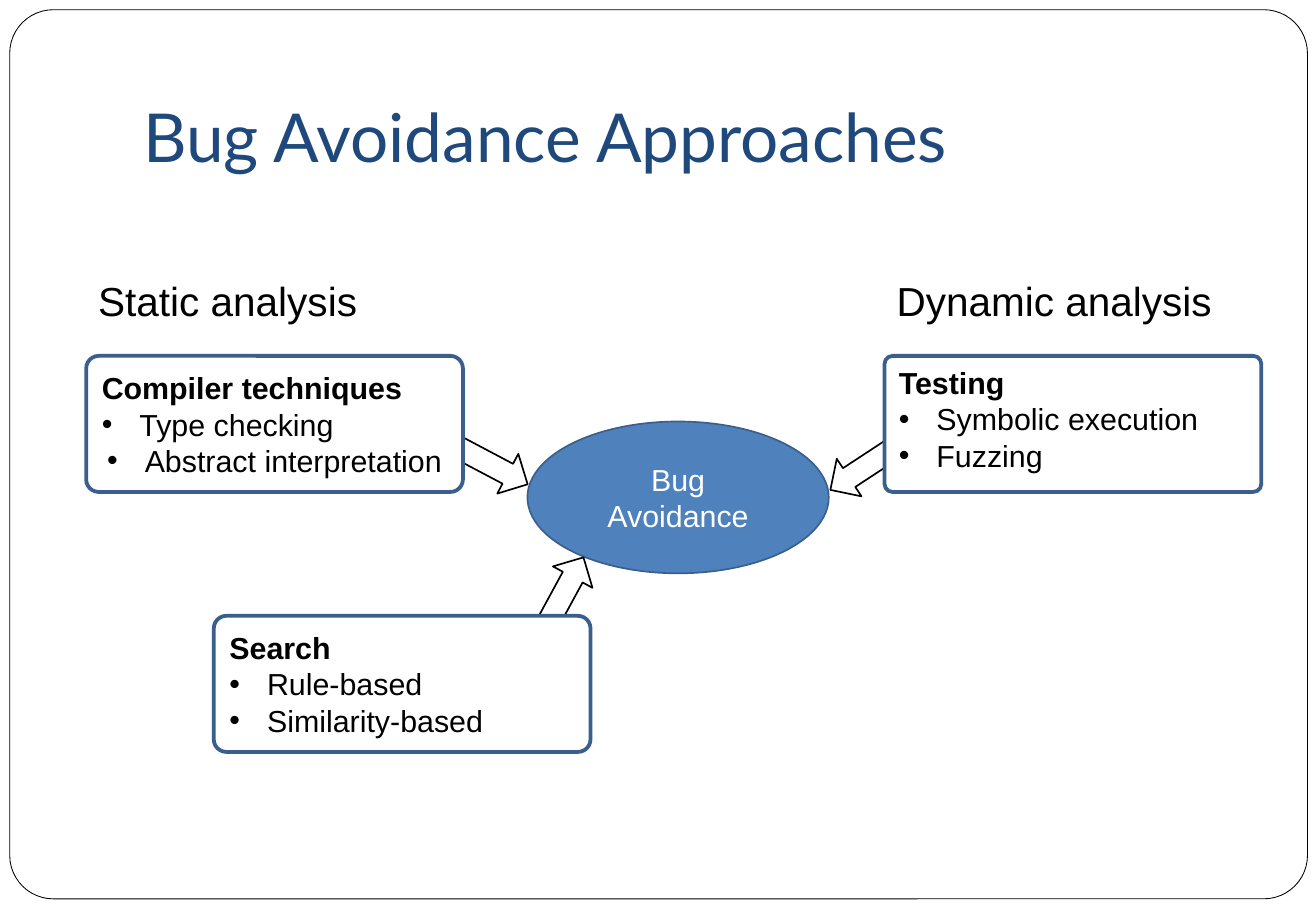
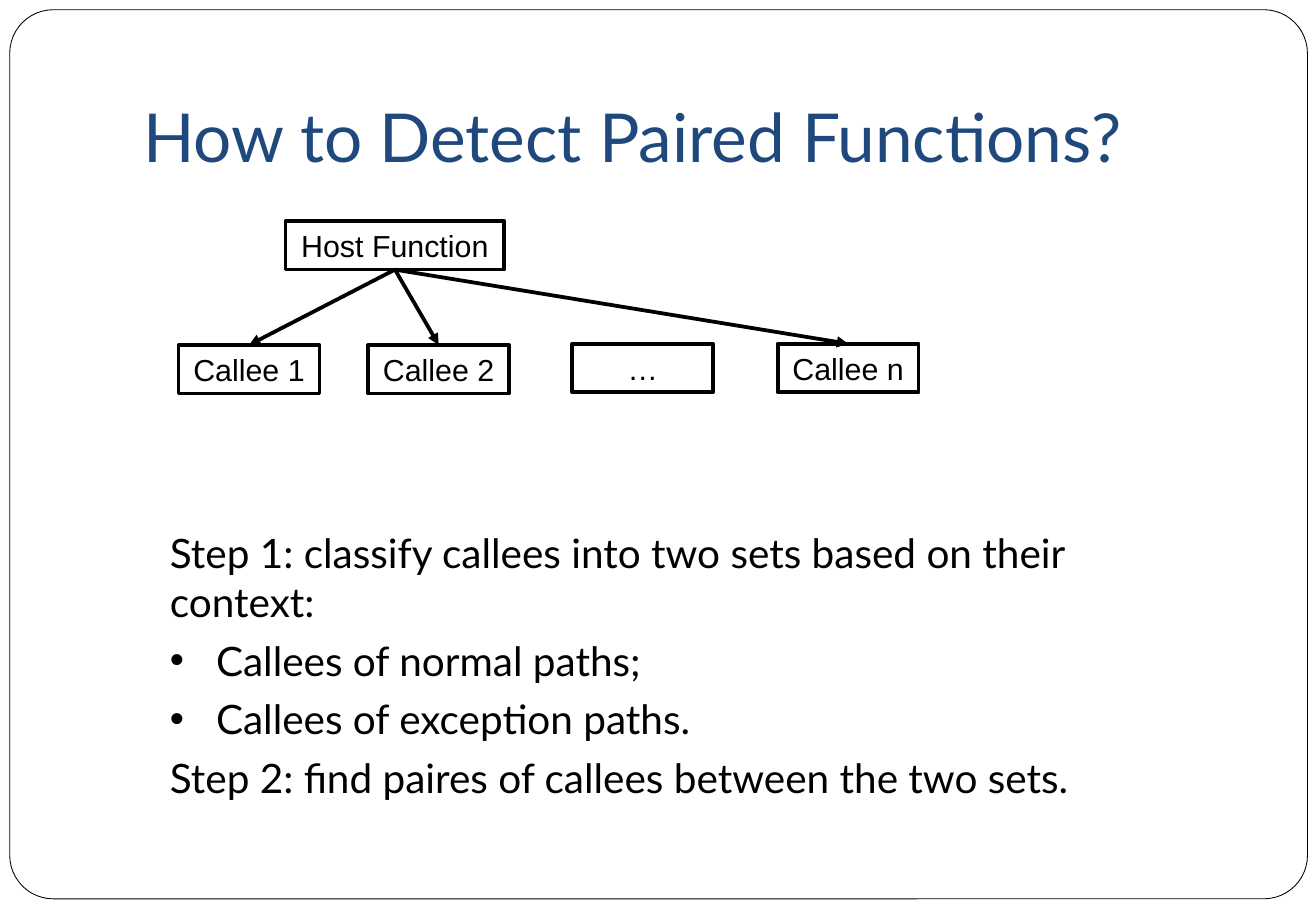
from lxml import etree
from pptx import Presentation
from pptx.dml.color import RGBColor
from pptx.enum.shapes import MSO_CONNECTOR, MSO_SHAPE
from pptx.enum.text import MSO_ANCHOR, PP_ALIGN
from pptx.oxml.ns import qn
from pptx.util import Inches, Pt

RECT, ROUNDED = MSO_SHAPE.RECTANGLE, MSO_SHAPE.ROUNDED_RECTANGLE
ELLIPSE, ARROW = MSO_SHAPE.OVAL, MSO_SHAPE.RIGHT_ARROW
STRAIGHT = MSO_CONNECTOR.STRAIGHT
LEFT, CENTER = PP_ALIGN.LEFT, PP_ALIGN.CENTER
TOP, MIDDLE, BOTTOM = MSO_ANCHOR.TOP, MSO_ANCHOR.MIDDLE, MSO_ANCHOR.BOTTOM

WHITE, BLACK = "FFFFFF", "000000"
NAVY, BLUE, BORDER = "1F497D", "4F81BD", "3A5F8C"
HEADING_FONT, BODY_FONT = "Lato", "Arial"


def rgb(value):
    return RGBColor.from_string(value)


class Deck:
    def __init__(self):
        self.prs = Presentation()
        self.prs.slide_width = Inches(10.83)
        self.prs.slide_height = Inches(7.5)
        self.s = None

    def new_slide(self, title):
        self.s = self.prs.slides.add_slide(self.prs.slide_layouts[6])
        self.shape(ROUNDED, 0.08, 0.08, 10.68, 7.32, weight=0.5, adj=0.049)
        tf = self.text([title], 1.08, 0.3, 9.21, 1.25, 40, HEADING_FONT, NAVY)
        tf.vertical_anchor = BOTTOM
        tf.margin_bottom = Inches(0.1)

    def shape(self, kind, x, y, w, h, fill=WHITE, line=BLACK, weight=1.0,
              adj=None, rotation=0):
        sp = self.s.shapes.add_shape(kind, Inches(x), Inches(y), Inches(w), Inches(h))
        sp.shadow.inherit = False
        sp.fill.solid()
        sp.fill.fore_color.rgb = rgb(fill)
        sp.line.color.rgb = rgb(line)
        sp.line.width = Pt(weight)
        sp.rotation = rotation
        if adj is not None:
            sp.adjustments[0] = adj
        return sp

    def set_text(self, tf, lines, size, font=BODY_FONT, color=BLACK, align=LEFT):
        tf.word_wrap = True
        tf.text = "\n".join(lines)
        for p in tf.paragraphs:
            p.alignment = align
            for r in p.runs:
                r.font.size = Pt(size)
                r.font.name = font
                r.font.color.rgb = rgb(color)
        return tf

    def text(self, lines, x, y, w, h, size, font=BODY_FONT, color=BLACK):
        sp = self.s.shapes.add_textbox(Inches(x), Inches(y), Inches(w), Inches(h))
        return self.set_text(sp.text_frame, lines, size, font, color)

    def bullet(self, p, indent):
        pPr = p._p.get_or_add_pPr()
        pPr.set("marL", str(Inches(indent)))
        pPr.set("indent", str(-Inches(indent)))
        etree.SubElement(pPr, qn("a:buFont")).set("typeface", BODY_FONT)
        etree.SubElement(pPr, qn("a:buChar")).set("char", "•")

    def label(self, kind, x, y, w, h, text, color=BLACK, **style):
        sp = self.shape(kind, x, y, w, h, **style)
        self.set_text(sp.text_frame, [text], 18, color=color, align=CENTER)
        sp.text_frame.vertical_anchor = MIDDLE
        return sp

    def card(self, x, y, heading, items, adj=0.092, anchor=MIDDLE):
        sp = self.shape(ROUNDED, x, y, 3.1, 1.12, line=BORDER, weight=2.25, adj=adj)
        tf = self.set_text(sp.text_frame, [heading, *items], 18)
        tf.vertical_anchor = anchor
        tf.paragraphs[0].runs[0].font.bold = True
        for p in tf.paragraphs[1:]:
            self.bullet(p, 0.31)
        return tf

    def arrow(self, x, y, w, rotation):
        self.shape(ARROW, x, y, w, 0.37, rotation=rotation)

    def box(self, x, y, w, text):
        return self.label(RECT, x, y, w, 0.4, text, weight=2.25)

    def link(self, parent, child):
        c = self.s.shapes.add_connector(STRAIGHT, 0, 0, 0, 0)
        c.begin_connect(parent, 2)
        c.end_connect(child, 0)
        c.line.color.rgb = rgb(BLACK)
        c.line.width = Pt(2.25)
        spPr = c._element.spPr
        etree.SubElement(spPr.get_or_add_ln(), qn("a:tailEnd")).set("type", "triangle")
        etree.SubElement(spPr, qn("a:effectLst"))


def approaches(deck):
    left, right, row = 0.71, 7.28, 2.93
    deck.new_slide("Bug Avoidance Approaches")
    deck.label(ELLIPSE, 4.34, 3.47, 2.48, 1.25, "Bug Avoidance", WHITE,
               fill=BLUE, line=BORDER)
    for x, heading in ((left, "Static analysis"), (right, "Dynamic analysis")):
        deck.text([heading], x, 2.22, 3.1, 0.5, 24)
    for x, y, w, rotation in ((4.27, 4.72, 0.72, 298.5),
                              (3.73, 3.65, 0.65, 27.9),
                              (6.78, 3.67, 0.65, 146.7)):
        deck.arrow(x, y, w, rotation)
    deck.card(1.76, 5.07, "Search", ["Rule-based", "Similarity-based"])
    tf = deck.card(left, row, "Compiler techniques",
                   ["Type checking", "Abstract interpretation"])
    tf.paragraphs[-1].alignment = CENTER
    deck.card(right, row, "Testing", ["Symbolic execution", "Fuzzing"],
              adj=0.058, anchor=TOP)


def paired_functions(deck):
    deck.new_slide("How to Detect Paired Functions?")
    host = deck.box(2.35, 1.82, 1.8, "Host Function")
    callees = [deck.box(x, y, 1.16, text) for x, y, text in (
        (1.47, 2.84, "Callee 1"), (3.03, 2.84, "Callee 2"),
        (4.71, 2.83, "…"), (6.4, 2.83, "Callee n"))]
    for callee in callees:
        if callee.text_frame.text != "…":
            deck.link(host, callee)
    tf = deck.text(["Step 1: classify callees into two sets based on their context:",
                    "Callees of normal paths;",
                    "Callees of exception paths.",
                    "Step 2: find paires of callees between the two sets."],
                   1.3, 4.3, 8.4, 2.43, 24, HEADING_FONT)
    for p in tf.paragraphs:
        p.space_before = Pt(6)
    for p in tf.paragraphs[1:3]:
        deck.bullet(p, 0.38)


def main():
    deck = Deck()
    approaches(deck)
    paired_functions(deck)
    deck.prs.save("out.pptx")


if __name__ == "__main__":
    main()
